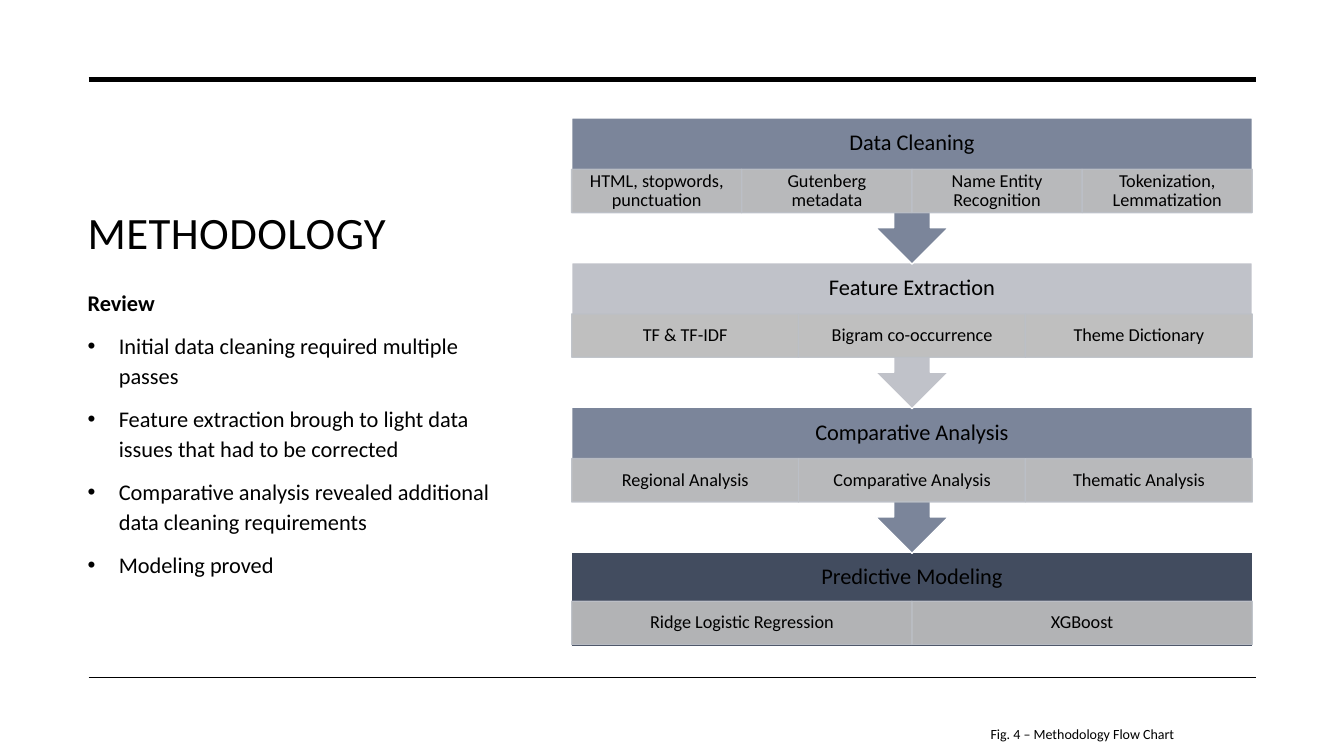
from dataclasses import dataclass

from lxml.etree import SubElement
from pptx import Presentation
from pptx.dml.color import RGBColor
from pptx.enum.shapes import MSO_CONNECTOR, MSO_SHAPE
from pptx.enum.text import MSO_ANCHOR as ANCHOR, PP_ALIGN as ALIGN
from pptx.oxml.ns import qn
from pptx.shapes.autoshape import Shape
from pptx.slide import Slide
from pptx.text.text import TextFrame, _Paragraph as Paragraph
from pptx.util import Inches, Pt

BLACK = RGBColor(0x00, 0x00, 0x00)
WHITE = RGBColor(0xFF, 0xFF, 0xFF)
SLATE = RGBColor(0x7B, 0x85, 0x9A)
SILVER = RGBColor(0xC0, 0xC2, 0xC9)
NAVY = RGBColor(0x42, 0x4C, 0x5F)
STEP_FILL = RGBColor(0xBF, 0xBF, 0xBF)
STEP_LINE = RGBColor(0xBC, 0xC0, 0xC7)

FONT = "Calibri"
CHART_LEFT, CHART_TOP, CHART_WIDTH = 5.67, 1.17, 6.75
STAGE_PITCH = 1.435
CALLOUT_HEIGHT, LAST_HEIGHT = 1.45, 0.94
HEADER_HEIGHT, STEP_HEIGHT = 0.51, 0.43


@dataclass(frozen=True)
class Stage:
    name: str
    fill: RGBColor
    steps: tuple[str, ...]
    step_offset: float = 0.51
    last: bool = False


@dataclass(frozen=True)
class Rule:
    y: float
    weight: float


STAGES = (
    Stage("Data Cleaning", SLATE,
          ("HTML, stopwords, punctuation", "Gutenberg metadata",
           "Name Entity Recognition", "Tokenization, Lemmatization")),
    Stage("Feature Extraction", SILVER,
          ("TF & TF-IDF", "Bigram co-occurrence", "Theme Dictionary")),
    Stage("Comparative Analysis", SLATE,
          ("Regional Analysis", "Comparative Analysis", "Thematic Analysis")),
    Stage("Predictive Modeling", NAVY,
          ("Ridge Logistic Regression", "XGBoost"), 0.49, True),
)
RULES = (Rule(0.79, 3.5), Rule(6.72, 1))
REVIEW = (
    "Review",
    "Initial data cleaning required multiple passes",
    "Feature extraction brough to light data issues that had to be corrected",
    "Comparative analysis revealed additional data cleaning requirements",
    "Modeling proved",
)


def style(p: Paragraph, size: float, bold: bool = False) -> None:
    for r in p.runs:
        r.font.name = FONT
        r.font.size = Pt(size)
        r.font.bold = bold
        r.font.color.rgb = BLACK


def add_text(s: Slide, left: float, top: float, width: float, height: float,
             text: str, size: float, anchor: ANCHOR = ANCHOR.TOP) -> TextFrame:
    tf = s.shapes.add_textbox(Inches(left), Inches(top),
                              Inches(width), Inches(height)).text_frame
    tf.word_wrap = True
    tf.vertical_anchor = anchor
    tf.text = text
    for p in tf.paragraphs:
        style(p, size)
    return tf


def center(tf: TextFrame, inset_x: float, inset_y: float) -> None:
    tf.margin_left = tf.margin_right = Inches(inset_x)
    tf.margin_top = tf.margin_bottom = Inches(inset_y)
    tf.vertical_anchor = ANCHOR.MIDDLE
    p = tf.paragraphs[0]
    p.alignment = ALIGN.CENTER
    p.line_spacing = 0.9


def add_block(s: Slide, kind: MSO_SHAPE, left: float, top: float, width: float,
              height: float, fill: RGBColor, line: RGBColor) -> Shape:
    sp = s.shapes.add_shape(kind, Inches(left), Inches(top),
                            Inches(width), Inches(height))
    sp.shadow.inherit = False
    sp.fill.solid()
    sp.fill.fore_color.rgb = fill
    sp.line.color.rgb = line
    sp.line.width = Pt(1)
    return sp


def add_step(s: Slide, left: float, top: float, width: float, text: str) -> None:
    sp = add_block(s, MSO_SHAPE.RECTANGLE, left, top, width, STEP_HEIGHT,
                   STEP_FILL, STEP_LINE)
    for color in sp._element.spPr.iter(qn("a:srgbClr")):
        SubElement(color, qn("a:alpha"), val="90000")
    tf = sp.text_frame
    tf.word_wrap = True
    tf.text = text
    style(tf.paragraphs[0], 13)
    center(tf, 0.1, 0.02)


def add_stage(s: Slide, stage: Stage, top: float) -> None:
    kind = MSO_SHAPE.RECTANGLE if stage.last else MSO_SHAPE.UP_ARROW_CALLOUT
    height = LAST_HEIGHT if stage.last else CALLOUT_HEIGHT
    sp = add_block(s, kind, CHART_LEFT, top, CHART_WIDTH, height,
                   stage.fill, WHITE)
    if not stage.last:
        sp.rotation = 180
    tf = add_text(s, CHART_LEFT, top, CHART_WIDTH, HEADER_HEIGHT, stage.name, 16)
    center(tf, 0.12, 0.12)
    width = CHART_WIDTH / len(stage.steps)
    for i, step in enumerate(stage.steps):
        add_step(s, CHART_LEFT + i * width, top + stage.step_offset, width, step)


def add_rule(s: Slide, rule: Rule) -> None:
    y = Inches(rule.y)
    line = s.shapes.add_connector(MSO_CONNECTOR.STRAIGHT,
                                  Inches(0.88), y, Inches(12.46), y)
    line.line.color.rgb = BLACK
    line.line.width = Pt(rule.weight)
    SubElement(line._element.spPr, qn("a:effectLst"))


def add_review(s: Slide) -> None:
    tf = add_text(s, 0.77, 2.79, 4.48, 3.63, "\n".join(REVIEW), 16)
    heading, *bullets = tf.paragraphs
    heading.line_spacing = 1.1
    style(heading, 16, bold=True)
    for p in bullets:
        p.line_spacing = 1.1
        p.space_before = Pt(10)
        pPr = p._p.get_or_add_pPr()
        pPr.set("marL", str(Inches(0.31)))
        pPr.set("indent", str(-Inches(0.31)))
        SubElement(pPr, qn("a:buFont"), typeface="Arial")
        SubElement(pPr, qn("a:buChar"), char="•")


def main() -> None:
    prs = Presentation()
    prs.slide_width, prs.slide_height = Inches(13.33), Inches(7.5)
    s = prs.slides.add_slide(prs.slide_layouts[6])
    for rule in RULES:
        add_rule(s, rule)
    title = add_text(s, 0.77, 1.17, 4.48, 1.44, "METHODOLOGY", 32, ANCHOR.BOTTOM)
    title.paragraphs[0].runs[0].font._element.set("spc", "30")
    for i, stage in reversed(list(enumerate(STAGES))):
        add_stage(s, stage, CHART_TOP + i * STAGE_PITCH)
    add_review(s)
    caption = add_text(s, 8.4, 7.15, 4.67, 0.27, "Fig. 4 – Methodology Flow Chart", 10)
    caption.paragraphs[0].alignment = ALIGN.CENTER
    prs.save("out.pptx")


if __name__ == "__main__":
    main()
